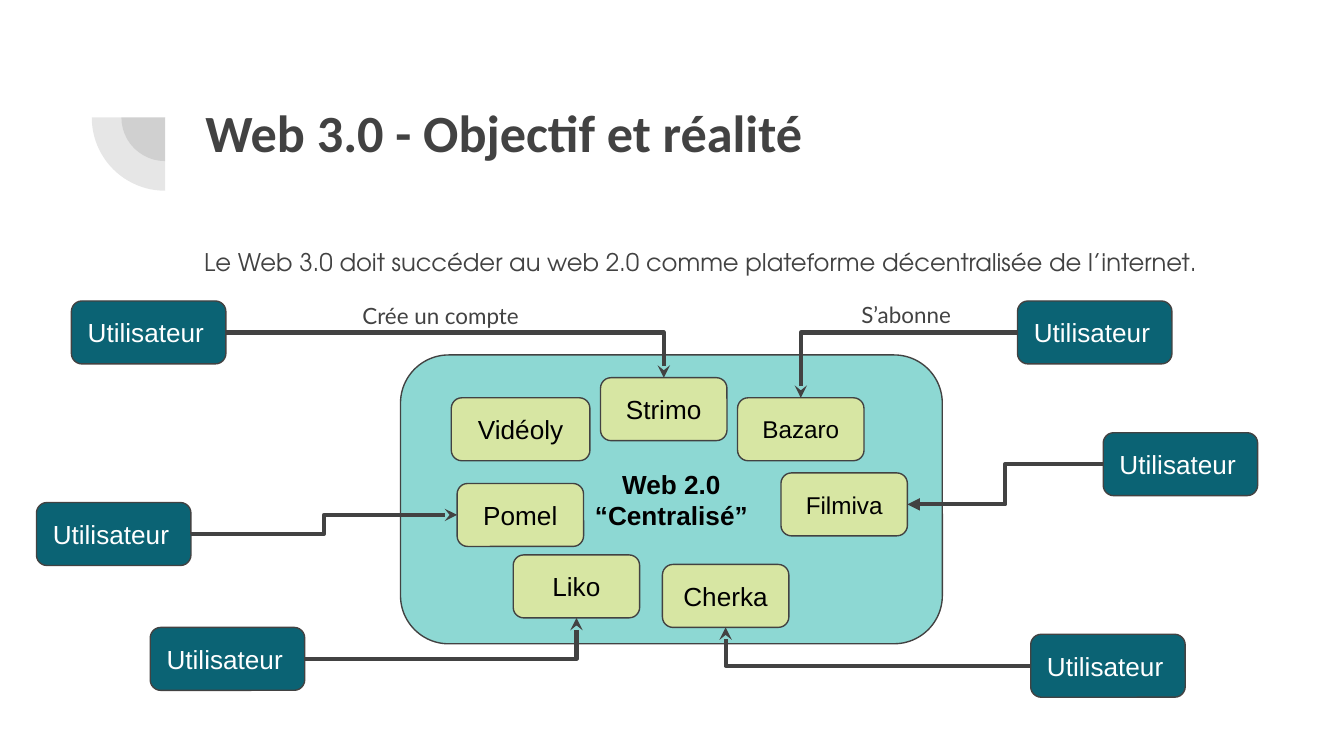
from lxml.etree import SubElement
from pptx import Presentation
from pptx.dml.color import RGBColor
from pptx.enum.shapes import MSO_CONNECTOR, MSO_SHAPE
from pptx.enum.text import MSO_ANCHOR, PP_ALIGN
from pptx.oxml.ns import qn
from pptx.util import Cm, Pt

GREY = RGBColor(0x42, 0x42, 0x42)
BLACK = RGBColor(0x00, 0x00, 0x00)
WHITE = RGBColor(0xFF, 0xFF, 0xFF)
AQUA = RGBColor(0x8D, 0xD8, 0xD3)
LIME = RGBColor(0xD7, 0xE6, 0xA3)
TEAL = RGBColor(0x0B, 0x63, 0x74)

TOP, LEFT, BOTTOM, RIGHT = range(4)

presentation = Presentation()
presentation.slide_width, presentation.slide_height = Cm(25.4), Cm(14.29)
slide = presentation.slides.add_slide(presentation.slide_layouts[6])
shapes = slide.shapes


def write(shape, lines, color, align=PP_ALIGN.LEFT, anchor=MSO_ANCHOR.TOP, **font_format):
    """Fill a shape with one paragraph per line; font_format holds font attributes."""
    frame = shape.text_frame
    frame_format = {"word_wrap": True, "vertical_anchor": anchor}
    frame_format.update({f"margin_{side}": Cm(0.25) for side in ("left", "top", "right", "bottom")})
    for name, value in frame_format.items():
        setattr(frame, name, value)
    frame.text = "\n".join(lines)
    for paragraph in frame.paragraphs:
        paragraph.alignment = align
        for name, value in font_format.items():
            setattr(paragraph.font, name, value)
        paragraph.font.color.rgb = color


def add_box(left, top, width, height, fill, lines, color, align=PP_ALIGN.CENTER, size=14, bold=False):
    """Add an outlined rounded rectangle with vertically centred text."""
    box = shapes.add_shape(MSO_SHAPE.ROUNDED_RECTANGLE, Cm(left), Cm(top), Cm(width), Cm(height))
    box.shadow.inherit = False
    box.fill.solid()
    box.fill.fore_color.rgb = fill
    box.line.color.rgb = GREY
    box.line.width = Pt(0.75)
    write(box, lines, color, align, MSO_ANCHOR.MIDDLE, name="Arial", size=Pt(size), bold=bold)
    return box


# Quarter-circle ornament: two translucent pies around one centre
center_x, center_y = 3.12, 2.22
for diameter in (1.65, 2.77):
    pie = shapes.add_shape(MSO_SHAPE.PIE, Cm(center_x - diameter / 2), Cm(center_y - diameter / 2),
                           Cm(diameter), Cm(diameter))
    pie.adjustments[0], pie.adjustments[1] = 108, 162
    pie.rotation = 270
    pie.shadow.inherit = False
    pie.line.fill.background()
    pie.fill.solid()
    pie.fill.fore_color.rgb = GREY
    pie_color = pie._element.spPr.find(qn("a:solidFill"))[0]
    SubElement(pie_color, qn("a:alpha"), val="13000")

# Title and introduction
title = shapes.add_textbox(Cm(3.63), Cm(1.65), Cm(19.53), Cm(2.77))
write(title, ["Web 3.0 - Objectif et réalité"], GREY, name="Calibri", size=Pt(28), bold=True)

intro = shapes.add_textbox(Cm(3.61), Cm(4.34), Cm(19.56), Cm(1.19))
write(intro, ["Le Web 3.0 doit succéder au web 2.0 comme plateforme décentralisée de l’internet."],
      GREY, name="TeX Gyre Adventor", size=Pt(13))
intro.text_frame.paragraphs[0].line_spacing = 1.15
intro.text_frame.paragraphs[0].space_after = Pt(12)

# Centralised platform and its services
add_box(7.57, 6.71, 10.24, 5.46, AQUA, ["Web 2.0", "“Centralisé”"], BLACK, bold=True)

services = {}
for name, left, top, width, size in [
    ("Strimo", 11.35, 7.14, 2.39, 14),
    ("Vidéoly", 8.53, 7.52, 2.62, 14),
    ("Cherka", 12.52, 10.67, 2.39, 14),
    ("Bazaro", 13.94, 7.52, 2.39, 13),
    ("Liko", 9.7, 10.49, 2.39, 14),
    ("Pomel", 8.64, 9.14, 2.39, 14),
    ("Filmiva", 14.76, 8.94, 2.39, 13),
]:
    services[name] = add_box(left, top, width, 1.19, LIME, [name], BLACK, size=size)

# Users, each linked to one service
for left, top, user_side, service, service_side, bend, arrowhead in [
    (1.35, 5.69, RIGHT, "Strimo", TOP, "bentConnector2", "stealth"),
    (0.69, 9.5, RIGHT, "Pomel", LEFT, "bentConnector3", "stealth"),
    (2.84, 11.86, RIGHT, "Liko", BOTTOM, "bentConnector2", "stealth"),
    (19.48, 11.99, LEFT, "Cherka", BOTTOM, "bentConnector2", "stealth"),
    (20.85, 8.18, LEFT, "Filmiva", RIGHT, "bentConnector3", "triangle"),
    (19.23, 5.69, LEFT, "Bazaro", TOP, "bentConnector2", "stealth"),
]:
    user = add_box(left, top, 2.92, 1.19, TEAL, ["Utilisateur"], WHITE, PP_ALIGN.LEFT)
    link = shapes.add_connector(MSO_CONNECTOR.ELBOW, 0, 0, 0, 0)
    link.begin_connect(user, user_side)
    link.end_connect(services[service], service_side)
    link.line.color.rgb = GREY
    link.line.width = Pt(2.25)
    properties = link._element.spPr
    properties.find(qn("a:prstGeom")).set("prst", bend)
    SubElement(properties.find(qn("a:ln")), qn("a:tailEnd"), type=arrowhead)
    SubElement(properties, qn("a:effectLst"))

# Link captions
for caption, left, top in [("Crée un compte", 6.6, 5.46), ("S’abonne", 16.03, 5.44)]:
    label = shapes.add_textbox(Cm(left), Cm(top), Cm(3.48), Cm(1.02))
    write(label, [caption], GREY, name="Lato", size=Pt(12))

presentation.save("out.pptx")
